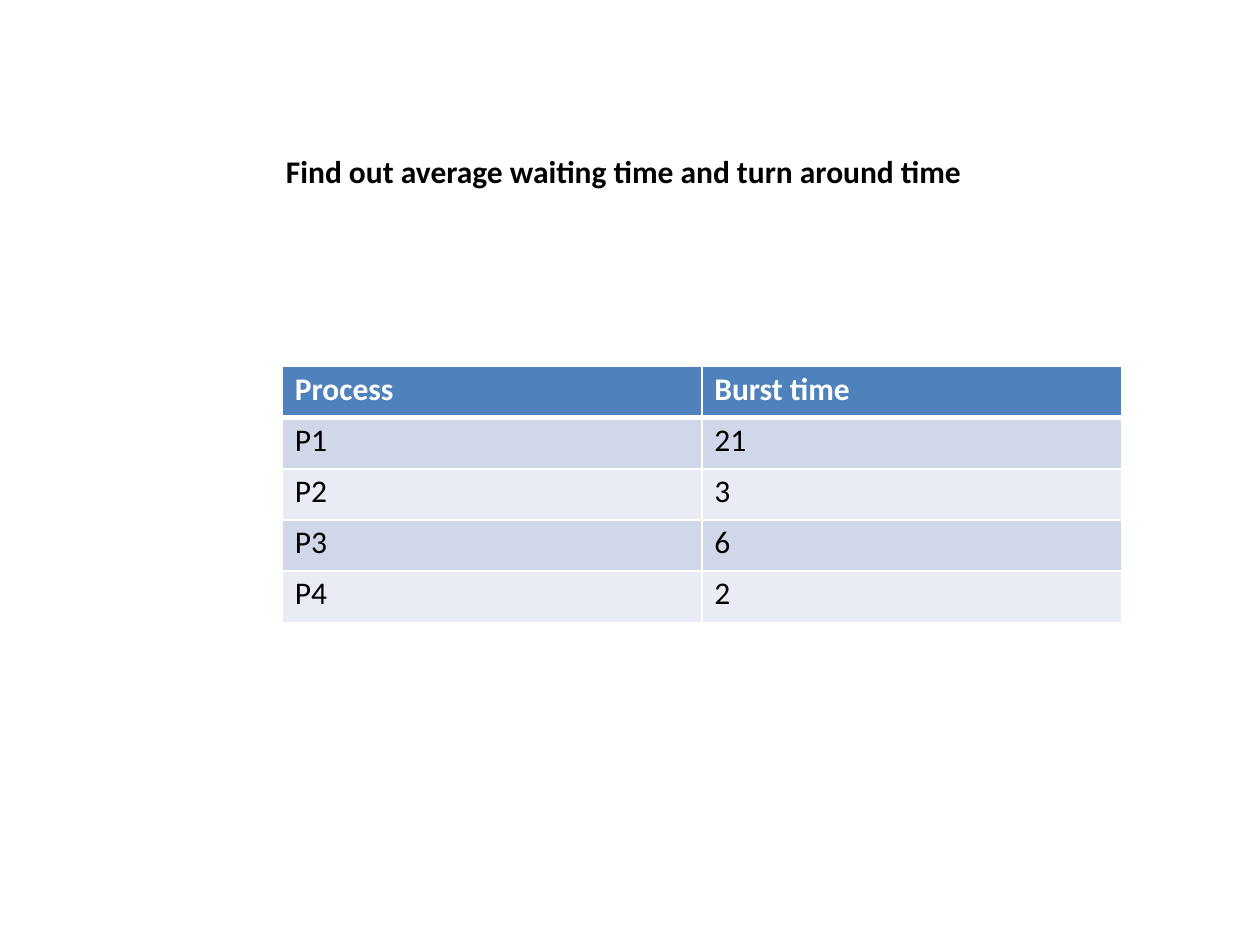
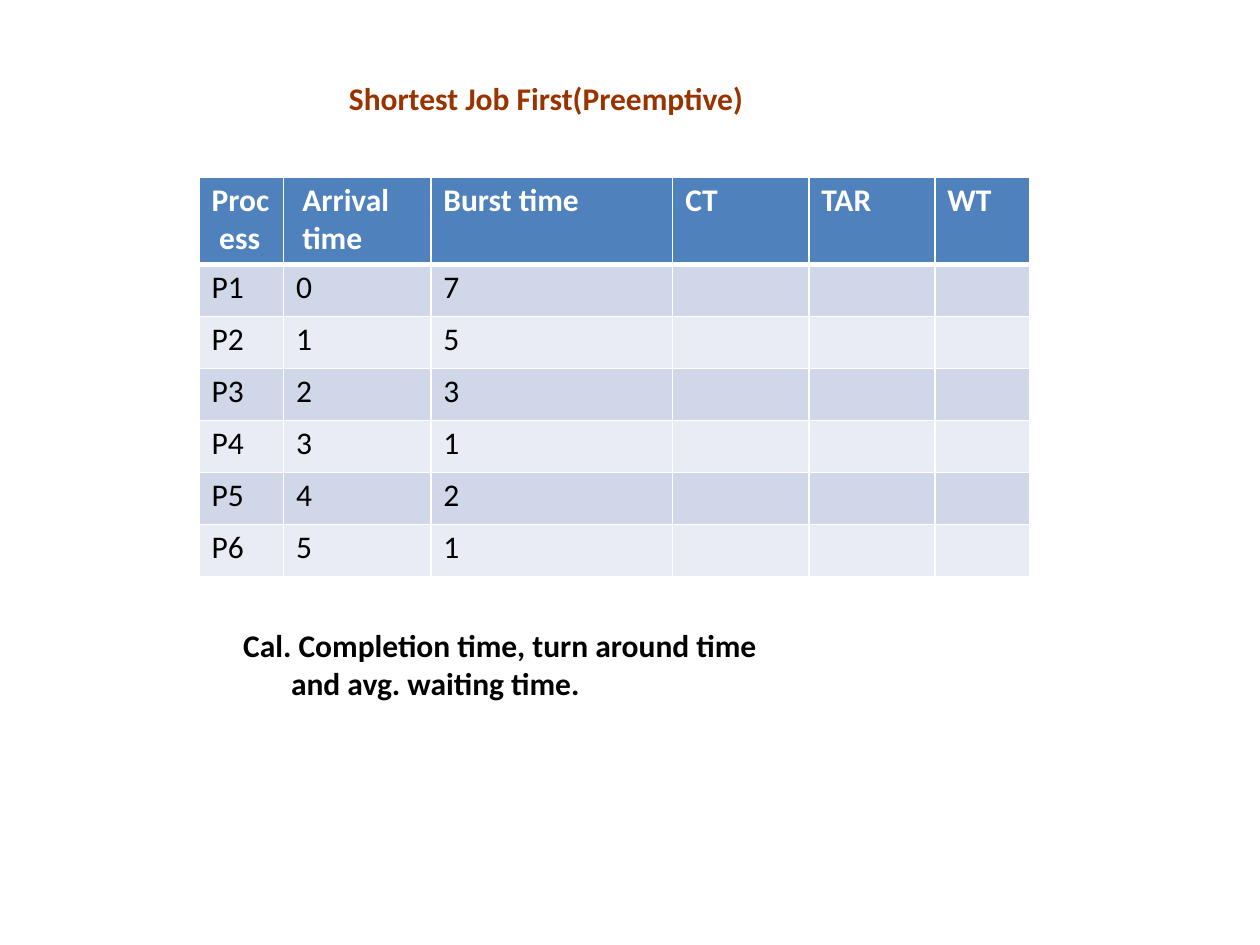
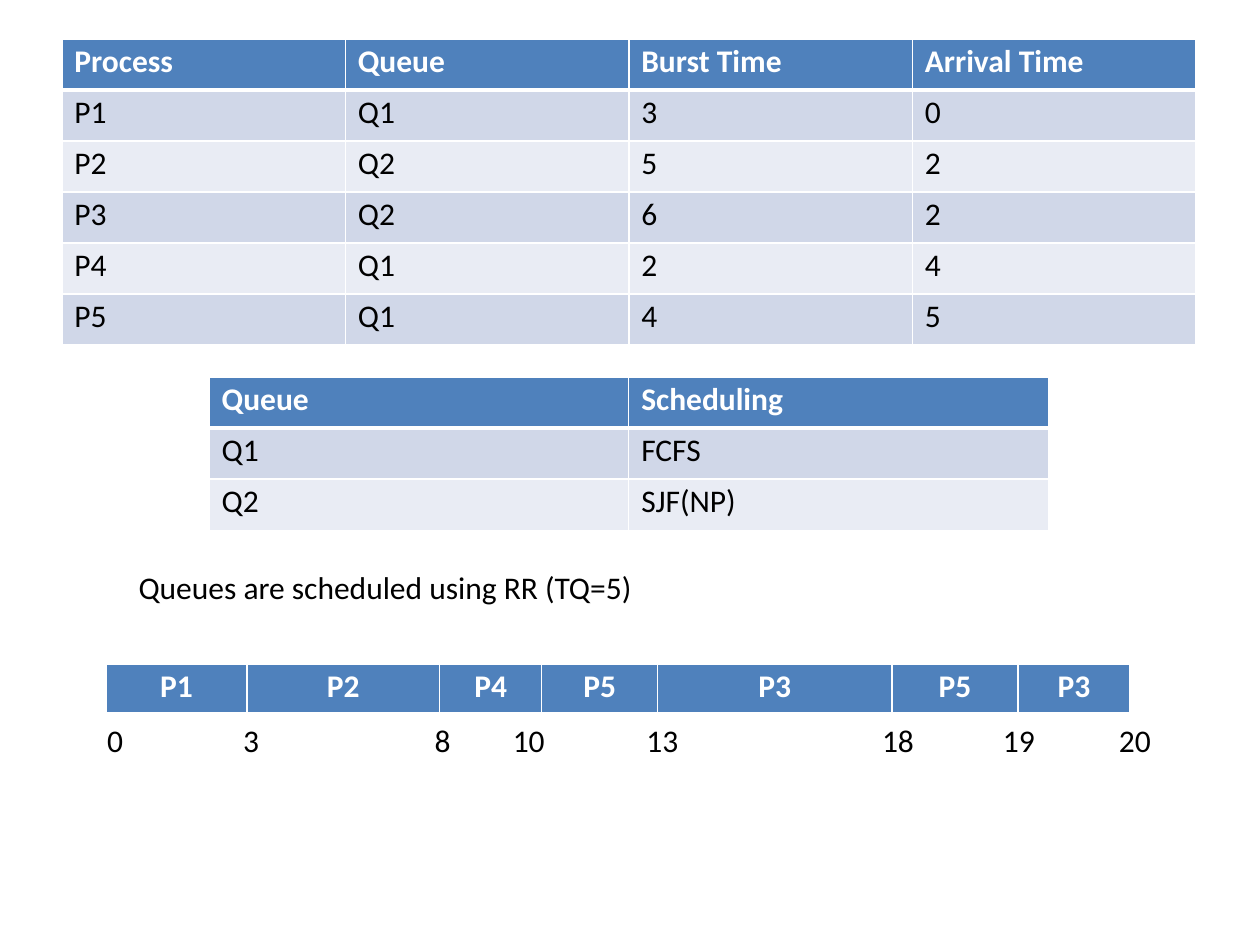
from lxml.etree import SubElement
from pptx import Presentation
from pptx.dml.color import RGBColor
from pptx.enum.text import PP_ALIGN as Align
from pptx.oxml.ns import qn
from pptx.util import Inches, Pt

# Shared style
FONT, SIZE = "Calibri", 18
BLACK, WHITE, RUST = "000000", "FFFFFF", "993300"
HEADER_FILL = "4F81BC"
BAND_FILLS = ("D0D7E8", "E9ECF4")
TOP_INSET = 0.03
CELL_INDENT = 0.1
THIN, THICK = 1, 3

# Slide content; a header may carry its own (left margin, first-line indent)
BURST_ROWS = [("Process", "Burst time"),
              ("P1", "21"), ("P2", "3"), ("P3", "6"), ("P4", "2")]

PREEMPTIVE_ROWS = [
    ("Process", "Arrival time", "Burst time", "CT", "TAR", "WT"),
    ("P1", "0", "7", "", "", ""),
    ("P2", "1", "5", "", "", ""),
    ("P3", "2", "3", "", "", ""),
    ("P4", "3", "1", "", "", ""),
    ("P5", "4", "2", "", "", ""),
    ("P6", "5", "1", "", "", ""),
]
PREEMPTIVE_ROWS[0] = ("Proc ess",) + PREEMPTIVE_ROWS[0][1:]
PREEMPTIVE_INDENTS = {"Proc ess": (0.16, -0.06), "Arrival time": (0.15, 0)}

QUEUE_ROWS = [
    ("Process", "Queue", "Burst Time", "Arrival Time"),
    ("P1", "Q1", "3", "0"),
    ("P2", "Q2", "5", "2"),
    ("P3", "Q2", "6", "2"),
    ("P4", "Q1", "2", "4"),
    ("P5", "Q1", "4", "5"),
]
SCHEDULING_ROWS = [("Queue", "Scheduling"), ("Q1", "FCFS"), ("Q2", "SJF(NP)")]

GANTT_BARS = [("P1", 1.12), ("P2", 1.53), ("P4", 0.81), ("P5", 0.92),
              ("P3", 1.86), ("P5", 1), ("P3", 0.89)]
GANTT_TIMES = [("0", 0.84), ("3", 1.92), ("8", 3.44), ("10", 4.06),
               ("13", 5.12), ("18", 6.99), ("19", 7.95), ("20", 8.87)]


def rgb(value):
    return RGBColor.from_string(value)


def write(frame, text, color=BLACK, bold=False, align=Align.LEFT, left=0.01, first=0):
    """Fill a text frame with one formatted paragraph."""
    frame.word_wrap = True
    paragraph = frame.paragraphs[0]
    paragraph.text = text
    paragraph.alignment = align
    properties = paragraph._p.get_or_add_pPr()
    properties.set("marL", str(Inches(left)))
    properties.set("indent", str(Inches(first)))
    font = paragraph.font
    font.name, font.size, font.bold = FONT, Pt(SIZE), bold
    font.color.rgb = rgb(color)


def set_margins(target):
    target.margin_left = target.margin_right = target.margin_bottom = 0
    target.margin_top = Inches(TOP_INSET)


def add_label(slide, text, left, top, width, height=0.33, indent=0.01, **style):
    box = slide.shapes.add_textbox(*map(Inches, (left, top, width, height)))
    set_margins(box.text_frame)
    write(box.text_frame, text, left=indent, **style)


def set_borders(cell, top, bottom):
    properties = cell._tc.get_or_add_tcPr()
    for side, width in (("L", THIN), ("R", THIN), ("T", top), ("B", bottom)):
        line = SubElement(properties, qn(f"a:ln{side}"), w=str(Pt(width)))
        fill = SubElement(line, qn("a:solidFill"))
        SubElement(fill, qn("a:srgbClr"), val=WHITE)


def add_grid(slide, rows, left, top, widths, height, header_height=None,
             indents=None, align=Align.LEFT):
    """Banded table with a blue header; body rows share the remaining height."""
    header_height = header_height or height / len(rows)
    body_height = (height - header_height) / max(len(rows) - 1, 1)
    table = slide.shapes.add_table(
        len(rows), len(widths), Inches(left), Inches(top),
        Inches(sum(widths)), Inches(height)).table
    for column, width in zip(table.columns, widths):
        column.width = Inches(width)
    for r, values in enumerate(rows):
        header = r == 0
        table.rows[r].height = Inches(header_height if header else body_height)
        for c, text in enumerate(values):
            cell = table.cell(r, c)
            set_margins(cell)
            set_borders(cell, THICK if r == 1 else THIN, THICK if header else THIN)
            cell.fill.solid()
            cell.fill.fore_color.rgb = rgb(HEADER_FILL if header else BAND_FILLS[(r - 1) % 2])
            margin = 0 if align == Align.CENTER else CELL_INDENT
            indent, first = (indents or {}).get(text, (margin, 0))
            write(cell.text_frame, text, color=WHITE if header else BLACK,
                  bold=header, align=align, left=indent, first=first)


def build_burst_slide(slide):
    add_label(slide, "Find out average waiting time and turn around time",
              2.26, 1.18, 5.45, bold=True)
    add_grid(slide, BURST_ROWS, 2.24, 2.91, [3.33] * 2, 2.03)


def build_preemptive_slide(slide):
    add_grid(slide, PREEMPTIVE_ROWS, 1.58, 1.41, [0.67, 1.17, 1.92, 1.08, 1, 0.75],
             3.17, header_height=0.69, indents=PREEMPTIVE_INDENTS)
    add_label(slide, "Shortest Job First(Preemptive)", 2.76, 0.6, 3.2,
              color=RUST, bold=True)
    add_label(slide, "Cal. Completion time, turn around time\vand avg. waiting time.",
              1.92, 4.94, 4.54, 0.63, indent=0.39, first=-0.38, bold=True)


def build_queue_slide(slide):
    add_grid(slide, QUEUE_ROWS, 0.49, 0.31, [2.25] * 4, 2.43)
    add_grid(slide, SCHEDULING_ROWS, 1.66, 2.99, [3.33] * 2, 1.22)
    add_label(slide, "Queues are scheduled using RR (TQ=5)", 1.09, 4.48, 4)
    # Gantt chart with its time marks
    bars, widths = zip(*GANTT_BARS)
    add_grid(slide, [bars], 0.84, 5.27, widths, 0.4, align=Align.CENTER)
    for time, left in GANTT_TIMES:
        add_label(slide, time, left, 5.69, 0.15 if len(time) == 1 else 0.28)


def main():
    presentation = Presentation()
    presentation.slide_width, presentation.slide_height = Inches(10), Inches(7.5)
    blank = presentation.slide_layouts[6]
    for build in (build_burst_slide, build_preemptive_slide, build_queue_slide):
        build(presentation.slides.add_slide(blank))
    presentation.save("out.pptx")


if __name__ == "__main__":
    main()
